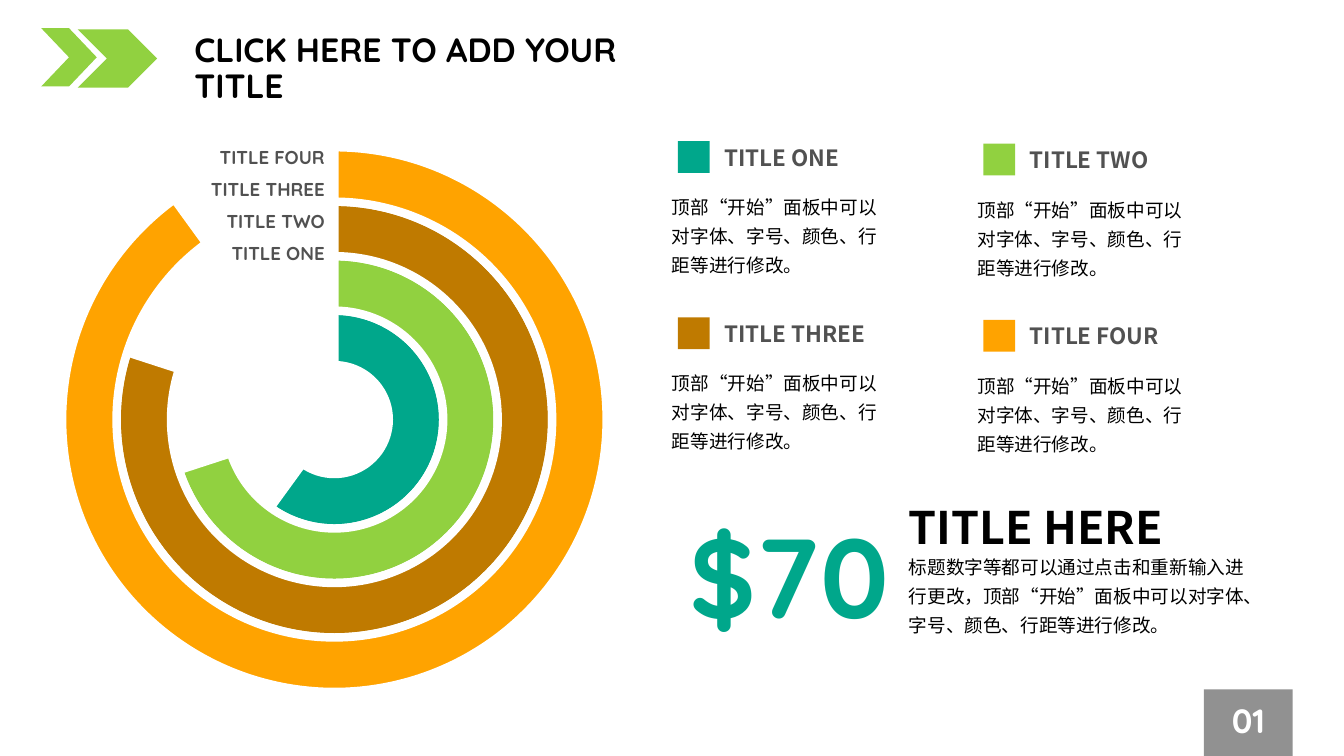
from lxml.etree import SubElement
from pptx import Presentation
from pptx.chart.data import CategoryChartData as Data
from pptx.dml.color import RGBColor
from pptx.enum.chart import XL_CHART_TYPE as Chart
from pptx.enum.shapes import MSO_SHAPE as Shape
from pptx.enum.text import MSO_ANCHOR as Anchor, MSO_AUTO_SIZE as Fit, PP_ALIGN as Align
from pptx.oxml.ns import qn
from pptx.util import Cm, Pt

# Content
HEAD = "CLICK HERE TO ADD YOUR TITLE"
PAGE = "01"
PRICE = "$70"
SUM_HEAD = "TITLE HERE"
SUM_BODY = "标题数字等都可以通过点击和重新输入进行更改，顶部“开始”面板中可以对字体、字号、颜色、行距等进行修改。"
NOTE = "顶部“开始”面板中可以对字体、字号、颜色、行距等进行修改。"
ITEMS = [  # name, value, colour; from the inner ring outwards
    ("TITLE ONE", 60, "00A78B"),
    ("TITLE TWO", 70, "91D140"),
    ("TITLE THREE", 80, "BF7A00"),
    ("TITLE FOUR", 90, "FFA300"),
]
TEAL, GREEN = ITEMS[0][2], ITEMS[1][2]
BLACK, WHITE, GRAY, DARK = "000000", "FFFFFF", "919191", "515151"
SANS, ROUND = "Noto Sans CJK SC", "Quicksand"

deck = Presentation()
deck.slide_width, deck.slide_height = Cm(33.88), Cm(19.05)
slide = deck.slides.add_slide(deck.slide_layouts[6])
shapes = slide.shapes


def rgb(code):
    return RGBColor.from_string(code)


def write(frame, text, size, face, color, bold=False, align=Align.LEFT, lead=None, before=None):
    frame.word_wrap = True
    par = frame.paragraphs[0]
    par.text = text
    par.alignment = align
    if lead:
        par.line_spacing = lead
    if before:
        par.space_before = Pt(before)
    font = par.font
    font.size, font.bold, font.name = Pt(size), bold, face
    font.color.rgb = rgb(color)
    # East Asian letters take the same face
    props = par._p.pPr.find(qn("a:defRPr"))
    SubElement(props, qn("a:ea")).set("typeface", face)


def label(box, text, *style, anchor=Anchor.TOP, fit=Fit.SHAPE_TO_FIT_TEXT, **more):
    frame = shapes.add_textbox(*map(Cm, box)).text_frame
    frame.vertical_anchor = anchor
    write(frame, text, *style, **more)
    frame.auto_size = fit


def block(kind, box, color):
    shape = shapes.add_shape(kind, *map(Cm, box))
    shape.shadow.inherit = False
    shape.fill.solid()
    shape.fill.fore_color.rgb = rgb(color)
    shape.line.fill.background()
    return shape


def rings(box):
    data = Data()
    data.categories = ["1", "2"]
    for num, (name, value, color) in enumerate(ITEMS, 1):
        data.add_series(f"Series {num}", (value, 100 - value))
    chart = shapes.add_chart(Chart.DOUGHNUT, *map(Cm, box), data).chart
    chart.has_legend = chart.has_title = False
    chart.font.size, chart.font.name = Pt(10), ROUND
    chart.font.color.rgb = rgb(BLACK)
    plot = chart.plots[0]
    plot.vary_by_categories = False
    plot._element.find(qn("c:holeSize")).set("val", "60")
    for row, (name, value, color) in zip(plot.series, ITEMS):
        part, rest = (row.points[i].format for i in (0, 1))
        part.fill.solid()
        part.fill.fore_color.rgb = rgb(color)
        part.line.color.rgb = rgb(WHITE)
        part.line.width = Pt(6)
        rest.fill.background()
        rest.line.fill.background()
    # Centred square plot area
    area = chart._chartSpace.chart.plotArea
    old = area.find(qn("c:layout"))
    if old is not None:
        area.remove(old)
    layout = SubElement(area, qn("c:layout"))
    area.insert(0, layout)
    manual = SubElement(layout, qn("c:manualLayout"))
    high = 0.95
    wide = high * box[3] / box[2]
    for tag, val in [("layoutTarget", "inner"), ("xMode", "edge"), ("yMode", "edge"),
                     ("x", (1 - wide) / 2), ("y", (1 - high) / 2), ("w", wide), ("h", high)]:
        SubElement(manual, qn("c:" + tag)).set("val", str(val))


# Header and page number
block(Shape.CHEVRON, (1.04, 0.71, 1.4, 1.47), GREEN)
block(Shape.CHEVRON, (1.96, 0.74, 2, 1.47), GREEN)
label((4.65, 0.71, 13.4, 1.47), HEAD, 24, ROUND, BLACK, True,
      fit=Fit.NONE, lead=0.9, before=10)
page = block(Shape.RECTANGLE, (30.35, 17.37, 2.24, 1.7), GRAY).text_frame
page.vertical_anchor = Anchor.MIDDLE
write(page, PAGE, 24, ROUND, WHITE, True, Align.CENTER, 0.9, 10)

# Ring chart with its labels, outer ring on top
rings((-2.11, 3.35, 21.08, 14.45))
for i, (name, value, color) in enumerate(reversed(ITEMS)):
    label((3.23, 3.56 + 0.8 * i, 5.21, 0.84), name, 13.3, ROUND, DARK, True, Align.RIGHT)

# Legend grid, two by two
for i, (name, value, color) in enumerate(ITEMS):
    row, col = divmod(i, 2)
    x = 16.69 + 7.7 * col
    y = 3.5 + 4.44 * row + 0.06 * col
    block(Shape.RECTANGLE, (x + 0.4, y + 0.06, 0.8, 0.8), color)
    label((x + 1.32, y, 4.7, 0.94), name, 16, SANS, DARK, True)
    label((x, y + 1.15, 5.94, 2.49), NOTE, 13.3, SANS, BLACK, lead=1.3)

# Summary
label((22.66, 12.47, 8.46, 1.63), SUM_HEAD, 32, SANS, BLACK, True)
label((22.66, 13.72, 9.09, 2.49), SUM_BODY, 13.3, SANS, BLACK, lead=1.3)
label((16.69, 12.62, 5.97, 3.68), PRICE, 80, ROUND, TEAL, True, Align.RIGHT,
      anchor=Anchor.MIDDLE)

deck.save("out.pptx")
